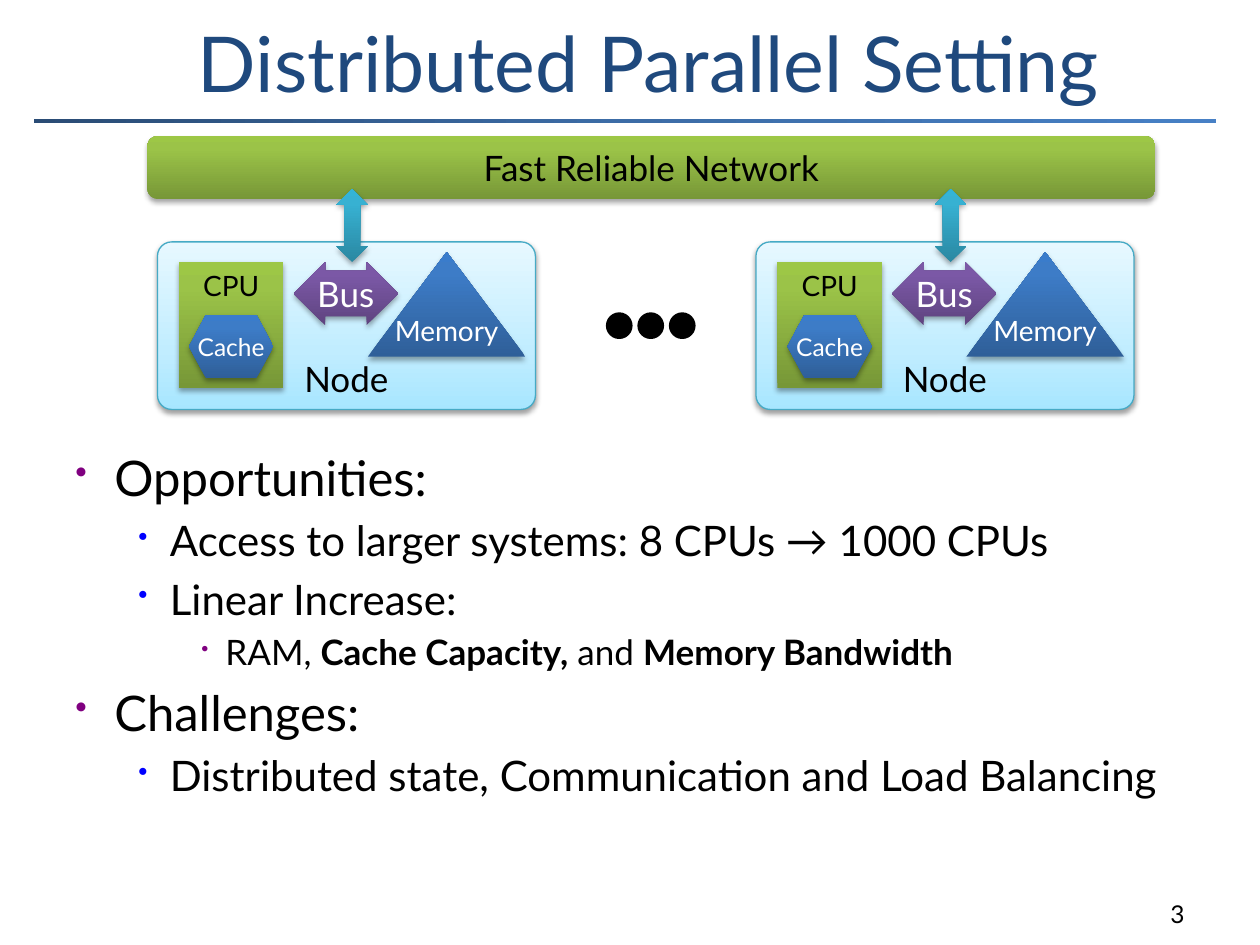
from dataclasses import dataclass

from lxml.etree import SubElement
from pptx import Presentation
from pptx.dml.color import RGBColor
from pptx.enum.shapes import MSO_SHAPE as Preset
from pptx.enum.text import MSO_ANCHOR as Anchor, MSO_AUTO_SIZE as AutoSize, PP_ALIGN as Align
from pptx.oxml.ns import qn
from pptx.util import Inches, Pt


@dataclass(frozen=True)
class Theme:
    font: str = "Lato"
    black: str = "000000"
    white: str = "FFFFFF"
    title: str = "1F497D"
    node_edge: str = "46AAC5"
    rule: tuple = ((0, "2A4C75"), (50, "3C6CA6"), (100, "4780C5"))
    green: tuple = ((0, "779737"), (80, "9BC348"), (100, "9DC746"))
    pale: tuple = ((0, "A7E6FF"), (35, "C1EDFF"), (100, "E7F8FF"))
    teal: tuple = ((0, "2A88A2"), (80, "37B1D2"), (100, "34B4D6"))
    purple: tuple = ((0, "5F4480"), (80, "7B58A6"), (100, "7C57A8"))
    blue: tuple = ((0, "2F5F99"), (80, "3D7CC7"), (100, "3A7CCB"))
    title_size: int = 44
    label_size: int = 20
    part_size: int = 16
    small_size: int = 14


@dataclass(frozen=True)
class Level:
    size: int
    indent: float
    hanging: float
    bullet_color: str
    bullet_percent: int


THEME = Theme()
LEVELS = (
    Level(28, 0.31, 0.31, "800080", 70),
    Level(24, 0.75, 0.25, "0000FF", 65),
    Level(20, 1.19, 0.19, "800080", 60),
)
OUTLINE = (
    (0, [("Opportunities:", False)]),
    (1, [("Access to larger systems: 8 CPUs → 1000 CPUs", False)]),
    (1, [("Linear Increase:", False)]),
    (2, [("RAM, ", False), ("Cache Capacity,", True),
         (" and ", False), ("Memory Bandwidth", True)]),
    (0, [("Challenges:", False)]),
    (1, [("Distributed state, Communication and Load Balancing", False)]),
)


def style_text(paragraph, size, color=THEME.black):
    for run in paragraph.runs:
        run.font.name = THEME.font
        run.font.size = Pt(size)
        run.font.color.rgb = RGBColor.from_string(color)


def fill_gradient(shape, stops, angle=90):
    shape.fill.gradient()
    shape.fill.gradient_angle = angle
    stop_list = shape._element.spPr.find(qn("a:gradFill")).find(qn("a:gsLst"))
    for old_stop in list(stop_list):
        stop_list.remove(old_stop)
    for percent, color in stops:
        stop = SubElement(stop_list, qn("a:gs"), pos=str(percent * 1000))
        SubElement(stop, qn("a:srgbClr"), val=color)


def add_shadow(shape, opacity):
    effects = shape._element.spPr.find(qn("a:effectLst"))
    shadow = SubElement(effects, qn("a:outerShdw"), blurRad=str(Pt(3.1)),
                        dist=str(Pt(1.8)), dir="5400000", rotWithShape="0")
    color = SubElement(shadow, qn("a:srgbClr"), val=THEME.black)
    SubElement(color, qn("a:alpha"), val=str(opacity * 1000))


def add_plain(shapes, preset, box, line=None, line_width=0.75):
    shape = shapes.add_shape(preset, *map(Inches, box))
    shape.shadow.inherit = False
    if line:
        shape.line.color.rgb = RGBColor.from_string(line)
        shape.line.width = Pt(line_width)
    else:
        shape.line.fill.background()
    return shape


def add_block(shapes, preset, box, stops, label="", size=THEME.label_size,
              color=THEME.black, anchor=Anchor.MIDDLE, line=None, adjust=(), opacity=35):
    block = add_plain(shapes, preset, box, line)
    fill_gradient(block, stops)
    add_shadow(block, opacity)
    for index, value in enumerate(adjust):
        block.adjustments[index] = value
    if label:
        frame = block.text_frame
        frame.text = label
        frame.word_wrap = False
        frame.vertical_anchor = anchor
        frame.paragraphs[0].alignment = Align.CENTER
        style_text(frame.paragraphs[0], size, color)


def add_title(slide):
    title = slide.shapes.title
    title.left, title.top, title.width, title.height = map(Inches, (1.47, 0.08, 8.2, 0.83))
    frame = title.text_frame
    frame.text = "Distributed Parallel Setting"
    frame.auto_size = AutoSize.NONE
    frame.vertical_anchor = Anchor.BOTTOM
    frame.paragraphs[0].alignment = Align.LEFT
    style_text(frame.paragraphs[0], THEME.title_size, THEME.title)


def add_title_rule(slide):
    rule = add_plain(slide.shapes, Preset.RECTANGLE, (0.25, 0.92, 9.42, 0.08), THEME.white, 3)
    fill_gradient(rule, THEME.rule, 0)


def add_node(slide, left):
    parts = slide.shapes.add_group_shape().shapes
    add_block(parts, Preset.ROUNDED_RECTANGLE, (left, 1.92, 3, 1.33), THEME.pale, "Node",
              anchor=Anchor.BOTTOM, line=THEME.node_edge, adjust=(0.085,), opacity=38)
    add_block(parts, Preset.RECTANGLE, (left + 0.17, 2.08, 0.83, 1), THEME.green, "CPU",
              THEME.part_size, anchor=Anchor.TOP)
    add_block(parts, Preset.UP_DOWN_ARROW, (left + 1.42, 1.5, 0.25, 0.58), THEME.teal,
              adjust=(0.61, 0.5))
    add_block(parts, Preset.LEFT_RIGHT_ARROW, (left + 1.08, 2.08, 0.83, 0.5), THEME.purple,
              "Bus", color=THEME.white, adjust=(0.72, 0.5))
    add_block(parts, Preset.FLOWCHART_EXTRACT, (left + 1.67, 2, 1.25, 0.83), THEME.blue,
              "Memory", THEME.part_size, THEME.white)
    add_block(parts, Preset.FLOWCHART_PREPARATION, (left + 0.25, 2.5, 0.67, 0.5), THEME.blue,
              "Cache", THEME.small_size, THEME.white)


def add_ellipsis(slide):
    dots = slide.shapes.add_group_shape().shapes
    for index in range(3):
        dot = add_plain(dots, Preset.OVAL, (4.83 + 0.25 * index, 2.5, 0.17, 0.17),
                        THEME.black, 3)
        dot.fill.solid()
        dot.fill.fore_color.rgb = RGBColor.from_string(THEME.black)


def add_bullet(paragraph, level):
    properties = paragraph._p.get_or_add_pPr()
    properties.set("marL", str(Inches(level.indent)))
    properties.set("indent", str(-Inches(level.hanging)))
    color = SubElement(properties, qn("a:buClr"))
    SubElement(color, qn("a:srgbClr"), val=level.bullet_color)
    SubElement(properties, qn("a:buSzPct"), val=str(level.bullet_percent * 1000))
    SubElement(properties, qn("a:buChar"), char="•")


def add_outline(slide):
    frame = slide.shapes.add_textbox(*map(Inches, (0.5, 3.5, 9.08, 3.5))).text_frame
    frame.word_wrap = True
    for index, (depth, pieces) in enumerate(OUTLINE):
        level = LEVELS[depth]
        paragraph = frame.add_paragraph() if index else frame.paragraphs[0]
        paragraph.level = depth
        add_bullet(paragraph, level)
        if index:
            paragraph.space_before = Pt(level.size * 0.2)
        for words, bold in pieces:
            run = paragraph.add_run()
            run.text = words
            run.font.bold = bold
        style_text(paragraph, level.size)


def add_page_number(slide):
    frame = slide.shapes.add_textbox(*map(Inches, (7.42, 6.92, 2.08, 0.5))).text_frame
    frame.text = "3"
    frame.word_wrap = True
    frame.vertical_anchor = Anchor.BOTTOM
    frame.paragraphs[0].alignment = Align.RIGHT
    style_text(frame.paragraphs[0], THEME.small_size)


def main():
    deck = Presentation()
    deck.slide_width, deck.slide_height = Inches(10), Inches(7.5)
    slide = deck.slides.add_slide(deck.slide_layouts[5])
    add_title_rule(slide)
    add_title(slide)
    add_outline(slide)
    add_page_number(slide)
    add_block(slide.shapes, Preset.ROUNDED_RECTANGLE, (1.17, 1.08, 8, 0.5), THEME.green,
              "Fast Reliable Network")
    for left in (1.25, 6):
        add_node(slide, left)
    add_ellipsis(slide)
    deck.save("out.pptx")


if __name__ == "__main__":
    main()
